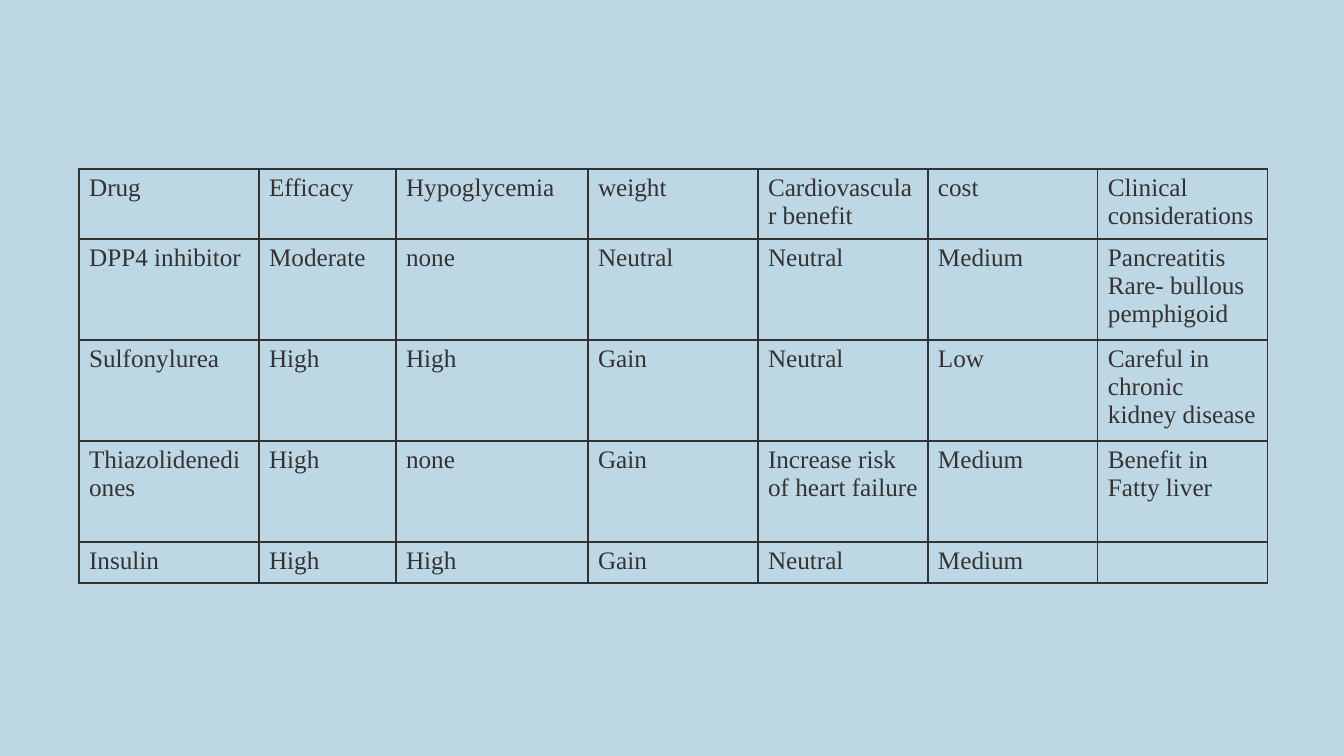
from lxml import etree
from pptx import Presentation
from pptx.dml.color import RGBColor
from pptx.oxml.ns import qn
from pptx.util import Emu, Pt

SLIDE_SIZE = (1344, 756)
TABLE_ORIGIN = (79, 169)
COLUMN_WIDTHS = (180, 137, 192, 170, 170, 170, 170)
ROW_HEIGHTS = (70, 101, 101, 101, 41)
BACKGROUND = "BDD7E5"
INK = "333333"
FONT = "Times New Roman"
FONT_SIZE = 18
BORDER_POINTS = 1
BORDER_TAGS = ("a:lnL", "a:lnR", "a:lnT", "a:lnB")

DRUG_ROWS = [
    ("Drug", "Efficacy", "Hypoglycemia", "weight", "Cardiovascular benefit", "cost",
     "Clinical considerations"),
    ("DPP4 inhibitor", "Moderate", "none", "Neutral", "Neutral", "Medium",
     "Pancreatitis\nRare- bullous pemphigoid"),
    ("Sulfonylurea", "High", "High", "Gain", "Neutral", "Low",
     "Careful in chronic kidney disease"),
    ("Thiazolidenediones", "High", "none", "Gain", "Increase risk of heart failure", "Medium",
     "Benefit in Fatty liver"),
    ("Insulin", "High", "High", "Gain", "Neutral", "Medium", ""),
]


def px(length):
    return Emu(round(length * 12192000 / SLIDE_SIZE[0]))


def color(hex_string):
    return RGBColor.from_string(hex_string)


def add_borders(cell):
    properties = cell._tc.get_or_add_tcPr()
    for position, tag in enumerate(BORDER_TAGS):
        line = etree.Element(qn(tag), w=str(Pt(BORDER_POINTS)))
        fill = etree.SubElement(line, qn("a:solidFill"))
        etree.SubElement(fill, qn("a:srgbClr"), val=INK)
        properties.insert(position, line)


def write_cell(cell, text):
    cell.fill.background()
    add_borders(cell)
    if not text:
        return
    frame = cell.text_frame
    for index, line in enumerate(text.split("\n")):
        paragraph = frame.add_paragraph() if index else frame.paragraphs[0]
        run = paragraph.add_run()
        run.text = line
        run.font.name = FONT
        run.font.size = Pt(FONT_SIZE)
        run.font.bold = False
        run.font.color.rgb = color(INK)


def add_drug_table(slide):
    frame = slide.shapes.add_table(
        len(ROW_HEIGHTS), len(COLUMN_WIDTHS), *map(px, TABLE_ORIGIN),
        px(sum(COLUMN_WIDTHS)), px(sum(ROW_HEIGHTS)))
    table = frame.table
    table.first_row = False
    table.horz_banding = False
    for column, width in zip(table.columns, COLUMN_WIDTHS):
        column.width = px(width)
    for row, height, texts in zip(table.rows, ROW_HEIGHTS, DRUG_ROWS):
        row.height = px(height)
        for cell, text in zip(row.cells, texts):
            write_cell(cell, text)


def main():
    presentation = Presentation()
    presentation.slide_width, presentation.slide_height = map(px, SLIDE_SIZE)
    slide = presentation.slides.add_slide(presentation.slide_layouts[6])
    slide.background.fill.solid()
    slide.background.fill.fore_color.rgb = color(BACKGROUND)
    add_drug_table(slide)
    presentation.save("out.pptx")


if __name__ == "__main__":
    main()
